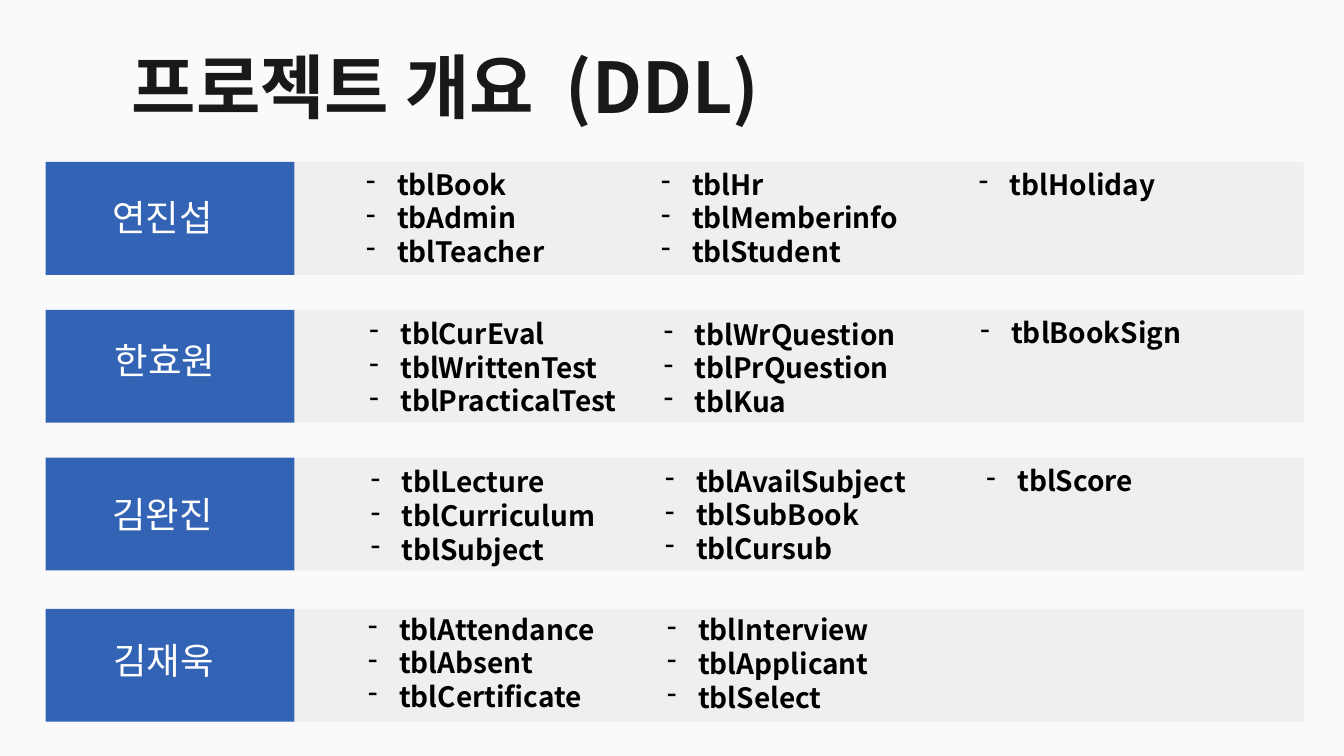
from dataclasses import dataclass

from lxml import etree
from pptx import Presentation
from pptx import util as u
from pptx.dml.color import RGBColor
from pptx.enum import shapes, text
from pptx.oxml import ns


@dataclass(frozen=True)
class Theme:
    font: str = "Noto Sans CJK KR"
    page: str = "FBFAFA"
    band: str = "EFEFEF"
    label: str = "3363B4"
    title_ink: str = "191919"
    label_ink: str = "FFFFFF"
    table_ink: str = "000000"
    title_size: int = 75
    label_size: int = 39
    table_size: int = 30


@dataclass(frozen=True)
class Area:
    left: float
    top: float
    width: float
    height: float


@dataclass(frozen=True)
class TableList:
    left: float
    drop: float  # offset from the top of the band
    names: tuple[str, ...]


@dataclass(frozen=True)
class Member:
    top: float
    name: str
    name_left: float
    name_drop: float
    lists: tuple[TableList, ...]


THEME = Theme()
WIDTH, HEIGHT = 20, 11.25
BAND_HEIGHT = 1.68
LABEL_LEFT, LABEL_WIDTH = 0.68, 3.7
BAND_LEFT, BAND_WIDTH = LABEL_LEFT + LABEL_WIDTH, 15.02
LIST_WIDTH = 4.3
LINE_HEIGHT = 0.51
INSET = 0.1

MEMBERS = (
    Member(2.41, "연진섭", 1.57, 0.4, (
        TableList(5.31, -0.02, ("tblBook", "tbAdmin", "tblTeacher")),
        TableList(9.7, -0.02, ("tblHr", "tblMemberinfo", "tblStudent")),
        TableList(14.43, -0.02, ("tblHoliday",)))),
    Member(4.61, "한효원", 1.61, 0.32, (
        TableList(5.36, 0, ("tblCurEval", "tblWrittenTest", "tblPracticalTest")),
        TableList(9.74, 0.01, ("tblWrQuestion", "tblPrQuestion", "tblKua")),
        TableList(14.45, -0.01, ("tblBookSign",)))),
    Member(6.81, "김완진", 1.57, 0.41, (
        TableList(5.38, 0.01, ("tblLecture", "tblCurriculum", "tblSubject")),
        TableList(9.76, 0, ("tblAvailSubject", "tblSubBook", "tblCursub")),
        TableList(14.54, -0.01, ("tblScore",)))),
    Member(9.06, "김재욱", 1.59, 0.33, (
        TableList(5.34, -0.05, ("tblAttendance", "tblAbsent", "tblCertificate")),
        TableList(9.79, -0.04, ("tblInterview", "tblApplicant", "tblSelect")))),
)


def corners(area: Area) -> tuple[u.Length, ...]:
    return tuple(u.Inches(v) for v in (area.left, area.top, area.width, area.height))


def add_block(page, area: Area, color: str) -> None:
    block = page.shapes.add_shape(shapes.MSO_SHAPE.RECTANGLE, *corners(area))
    block.shadow.inherit = False
    block.fill.solid()
    block.fill.fore_color.rgb = RGBColor.from_string(color)
    block.line.fill.background()


def add_dash(para) -> None:
    props = para._p.get_or_add_pPr()
    props.set("marL", str(u.Inches(0.5)))
    props.set("indent", str(u.Inches(-0.46)))
    color = etree.SubElement(props, ns.qn("a:buClr"))
    etree.SubElement(color, ns.qn("a:srgbClr"), val=THEME.table_ink)
    etree.SubElement(props, ns.qn("a:buChar"), char="-")


def add_text(page, area: Area, lines: tuple[str, ...], size: int, color: str,
             bold: bool = False, inset: float = INSET, dashed: bool = False,
             spacing: float | None = None) -> None:
    frame = page.shapes.add_textbox(*corners(area)).text_frame
    frame.word_wrap = True
    frame.auto_size = text.MSO_AUTO_SIZE.SHAPE_TO_FIT_TEXT
    frame.margin_left = frame.margin_right = u.Inches(inset)
    frame.margin_top = frame.margin_bottom = u.Inches(inset)
    frame.text = "\n".join(lines)
    for para in frame.paragraphs:
        if dashed:
            add_dash(para)
        if spacing:
            para.line_spacing = spacing
        para.font.name = THEME.font
        para.font.size = u.Pt(size)
        para.font.bold = bold
        para.font.color.rgb = RGBColor.from_string(color)
        # Korean glyphs take the East Asian typeface
        east = etree.SubElement(para.font._element, ns.qn("a:ea"))
        east.set("typeface", THEME.font)


def add_member(page, member: Member) -> None:
    add_block(page, Area(BAND_LEFT, member.top, BAND_WIDTH, BAND_HEIGHT), THEME.band)
    add_block(page, Area(LABEL_LEFT, member.top, LABEL_WIDTH, BAND_HEIGHT), THEME.label)
    add_text(page, Area(member.name_left, member.top + member.name_drop, 2.16, 0.86),
             (member.name,), THEME.label_size, THEME.label_ink)
    for column in member.lists:
        height = 2 * INSET + LINE_HEIGHT * len(column.names)
        add_text(page, Area(column.left, member.top + column.drop, LIST_WIDTH, height),
                 column.names, THEME.table_size, THEME.table_ink, bold=True, dashed=True)


def main() -> None:
    deck = Presentation()
    deck.slide_width, deck.slide_height = u.Inches(WIDTH), u.Inches(HEIGHT)
    page = deck.slides.add_slide(deck.slide_layouts[6])
    page.background.fill.solid()
    page.background.fill.fore_color.rgb = RGBColor.from_string(THEME.page)

    # Title
    add_text(page, Area(1.96, 0.4, 14.22, 1.26), ("프로젝트 개요  (DDL)",),
             THEME.title_size, THEME.title_ink, bold=True, inset=0, spacing=1.2)

    # One band per member
    for member in MEMBERS:
        add_member(page, member)

    deck.save("out.pptx")


if __name__ == "__main__":
    main()
